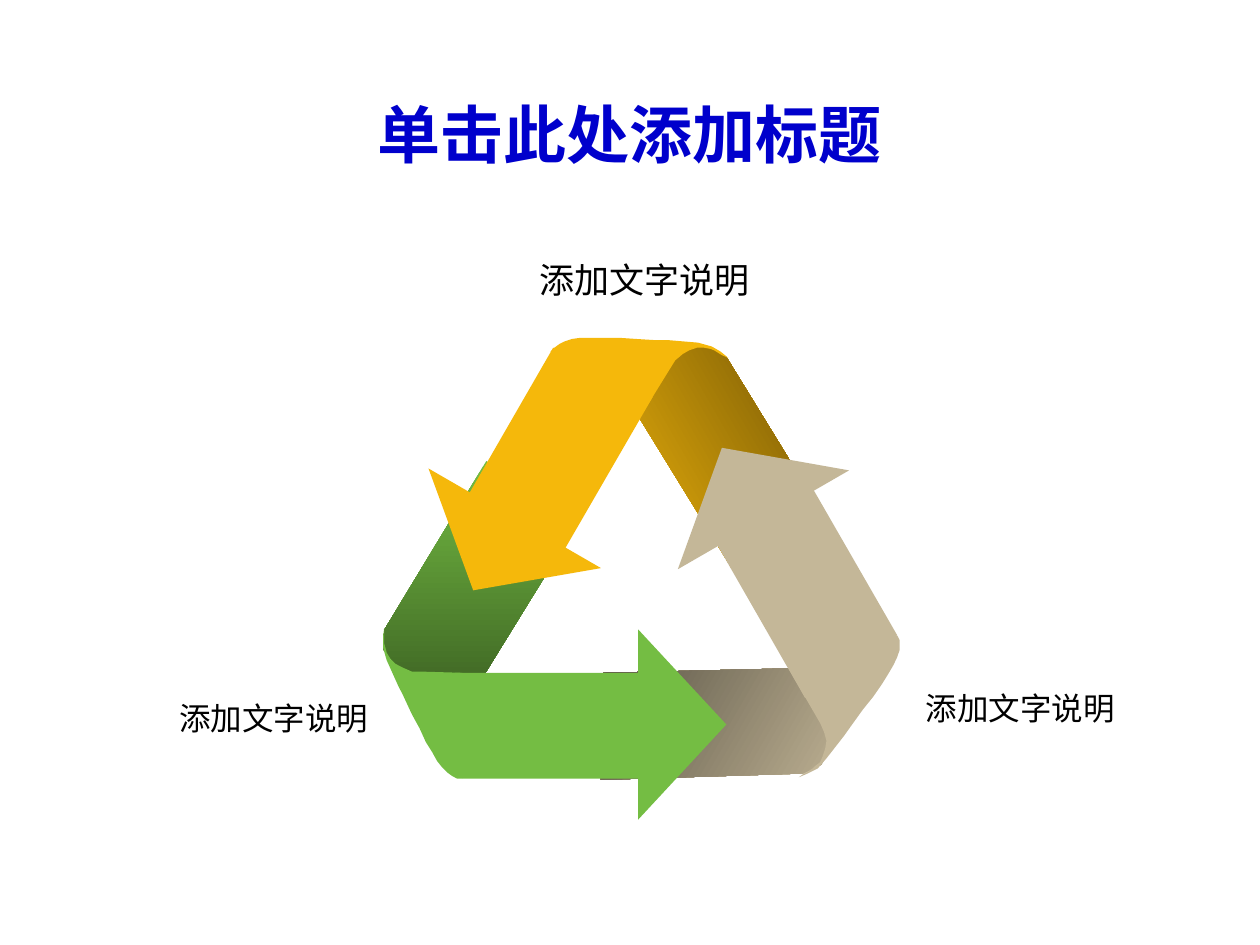
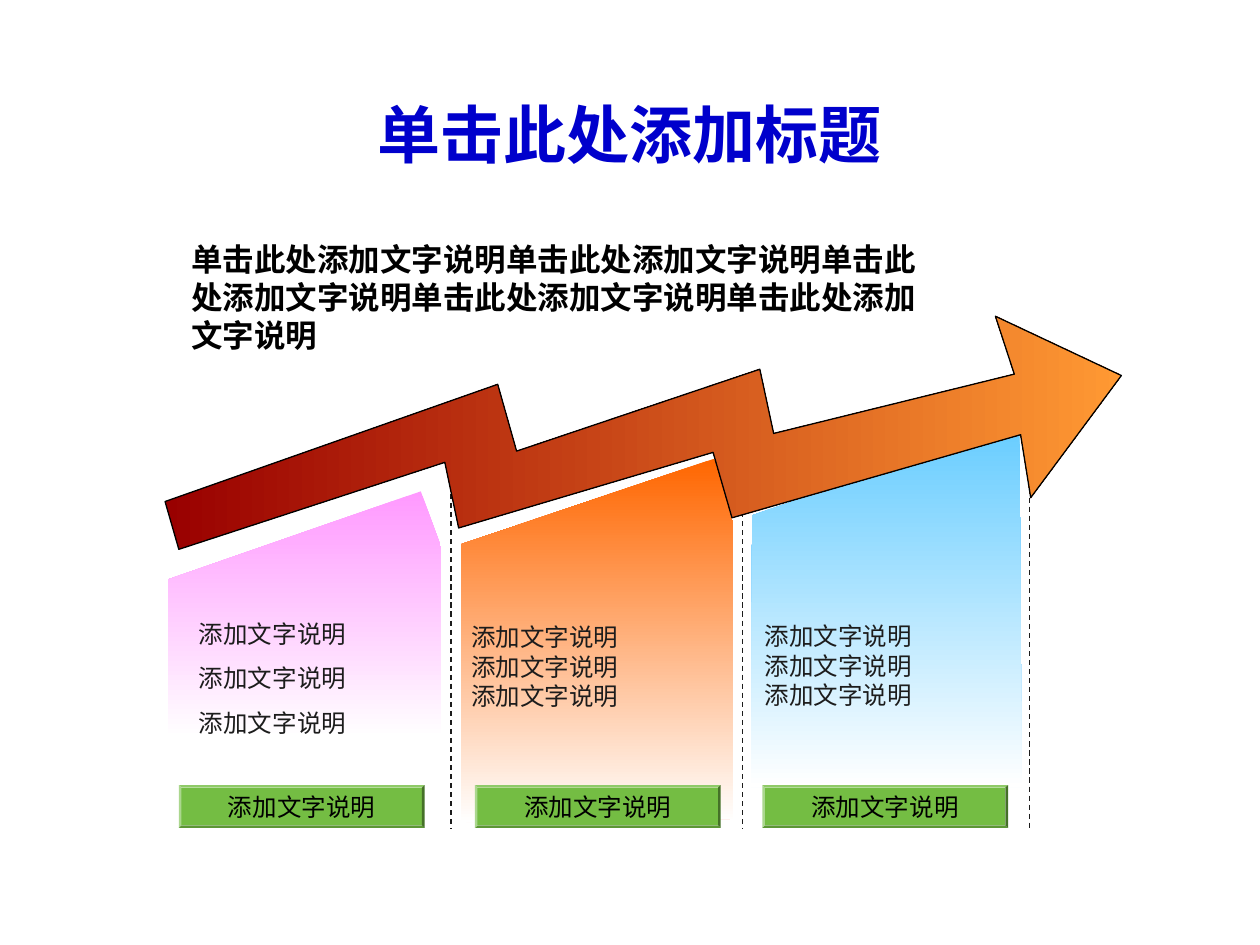
from dataclasses import dataclass

from lxml import etree
from pptx import Presentation
from pptx.dml.color import RGBColor
from pptx.enum import dml, shapes, text
from pptx.oxml.ns import qn
from pptx.util import Pt


@dataclass(frozen=True)
class Theme:
    font: str = "Arial"
    title: str = "0000CC"
    black: str = "000000"
    ink: str = "1C1C1C"
    white: str = "FFFFFF"
    green: str = "74BD43"
    yellow: str = "F5B80B"
    tan: str = "C4B798"
    title_size: int = 36
    top_size: int = 20
    body_size: int = 18
    small_size: int = 14
    hairline: float = 0.75


T = Theme()
LEFT, CENTER, RIGHT = text.PP_ALIGN.LEFT, text.PP_ALIGN.CENTER, text.PP_ALIGN.RIGHT
MIDDLE, TOP = text.MSO_ANCHOR.MIDDLE, text.MSO_ANCHOR.TOP
TITLE = "单击此处添加标题"
CAPTION = "添加文字说明"
INTRO = "单击此处添加文字说明" * 5

# Folded arrows, in points: tail (colours, angle), head (box, turn), band, curl
GREEN_TAIL = [(333.4, 293.8), (257, 417.6), (218.9, 370.8), (219.6, 360), (277.9, 263.5)]
YELLOW_TAIL = [(422.6, 331.9), (344.2, 204.5), (405.4, 198), (415.4, 204.5), (475.9, 303.1)]
TAN_TAIL = [(344.9, 384.5), (494.6, 380.9), (469.4, 437), (458.6, 442.1), (343.4, 445.7)]

YELLOW_BAND = [(313.9, 329), (373, 226.8), (344.9, 211), (316.1, 198.7), (259.2, 297.4)]
TAN_BAND = [(401, 295.9), (460.1, 398.9), (488.2, 382.3), (512.6, 362.9), (455.8, 264.2)]
GREEN_BAND = [(385.2, 384.5), (259.9, 384.5), (259.9, 415.4), (264.2, 445), (385.2, 445)]

YELLOW_CURL = [
    (369.4, 232.6), (314.6, 200.9), (316.8, 198.7), (319.7, 196.6), (322.6, 195.1),
    (326.9, 193.7), (331.9, 193), (353.5, 193), (363.6, 193.7), (375.1, 194.4),
    (382.3, 194.4), (398.9, 195.8), (406.8, 198), (411.8, 200.9), (416.2, 204.5),
    (412.6, 203), (410.4, 201.6), (408.2, 200.2), (406.1, 199.4), (402.5, 198.7),
    (398.2, 198.7), (393.8, 200.2), (390.2, 202.3), (385.9, 205.9), (382.3, 211.7)]
TAN_CURL = [
    (457.9, 394.6), (512.6, 362.9), (514.1, 365.8), (514.1, 371.5), (512.6, 375.8),
    (510.5, 380.2), (507.6, 385.2), (504, 391), (499, 398.2), (493.2, 405.4),
    (486, 415.4), (482.4, 420.5), (472.3, 433.4), (467.3, 439.2), (461.5, 442.1),
    (456.5, 444.2), (459.4, 442.1), (462.2, 440.6), (464.4, 439.2), (465.8, 437.8),
    (468.7, 435.6), (470.2, 432), (471.6, 427.7), (472.3, 423.4), (470.9, 418.3),
    (468.7, 413.3)]
GREEN_CURL = [
    (264.2, 384.5), (264.2, 445), (261.4, 445), (258.5, 443.5), (255.6, 441.4),
    (252.7, 438.5), (249.8, 434.9), (247, 429.8), (243.4, 424.1), (239.8, 416.2),
    (235.4, 408.2), (230.4, 397.4), (227.5, 391.7), (221, 377.3), (218.9, 370.1),
    (218.9, 364.3), (219.6, 358.6), (219.6, 367.9), (220.3, 370.1), (221, 373),
    (223.2, 376.6), (226.1, 379.4), (230.4, 381.6), (235.4, 383.8), (241.2, 383.8)]

# Growth slide outlines, in points
BLUE_PANEL = [(582.5, 241.9), (583.9, 450), (429.1, 450), (429.8, 294.5)]
ORANGE_PANEL = [(408.2, 262.1), (419, 298.1), (419, 468), (263.5, 470.2), (263.5, 311)]
PINK_PANEL = [(240.5, 280.8), (252, 312.5), (252, 421.9), (95.8, 421.9), (95.8, 331.2)]
ZIGZAG = [
    (94.3, 286.6), (284.4, 219.6), (295.2, 257.8), (434.2, 211), (442.1, 247.7),
    (579.6, 213.8), (568.8, 180.7), (640.8, 214.6), (589, 284.4), (583.2, 248.4),
    (418.3, 295.9), (407.5, 258.5), (262.1, 301.7), (254.2, 264.2), (102.2, 313.9)]


def rgb(value):
    return RGBColor.from_string(value)


def paint(sp, fill, angle=0, line=None):
    """Fill with one colour, or a pair as a gradient at a clockwise angle."""
    sp.shadow.inherit = False
    if isinstance(fill, tuple):
        sp.fill.gradient()
        sp.fill.gradient_angle = -angle % 360
        for stop, color in zip(sp.fill.gradient_stops, fill):
            stop.color.rgb = rgb(color)
    else:
        sp.fill.solid()
        sp.fill.fore_color.rgb = rgb(fill)
    if line:
        sp.line.color.rgb = rgb(line)
        sp.line.width = Pt(T.hairline)
    else:
        sp.line.fill.background()


def outline(slide, points, fill, **look):
    (x, y), *rest = [(Pt(px), Pt(py)) for px, py in points]
    fb = slide.shapes.build_freeform(x, y)
    fb.add_line_segments(rest, close=True)
    paint(fb.convert_to_shape(), fill, **look)


def preset(slide, kind, box, fill, turn=0):
    sp = slide.shapes.add_shape(kind, *map(Pt, box))
    sp.rotation = turn
    paint(sp, fill)
    return sp


def write(sp, content, size=T.small_size, color=T.black, bold=False,
          align=LEFT, anchor=TOP, gap=0, wrap=True):
    tf = sp.text_frame
    tf.word_wrap = wrap
    tf.vertical_anchor = anchor
    tf.margin_left = tf.margin_right = Pt(7.2)
    tf.margin_top = tf.margin_bottom = Pt(3.6)
    for i, line in enumerate(content.split("\n")):
        p = tf.paragraphs[0] if i == 0 else tf.add_paragraph()
        p.alignment = align
        if i and gap:
            p.space_before = Pt(gap)
        r = p.add_run()
        r.text = line
        r.font.name, r.font.size, r.font.bold = T.font, Pt(size), bold
        r.font.color.rgb = rgb(color)


def label(slide, box, content, **style):
    write(slide.shapes.add_textbox(*map(Pt, box)), content, **style)


def dashed_line(slide, x, top, bottom):
    cx = slide.shapes.add_connector(
        shapes.MSO_CONNECTOR.STRAIGHT, Pt(x), Pt(top), Pt(x), Pt(bottom))
    cx.line.color.rgb = rgb(T.ink)
    cx.line.width = Pt(T.hairline)
    cx.line.dash_style = dml.MSO_LINE.DASH
    etree.SubElement(cx._element.spPr, qn("a:effectLst"))


def plate(slide, x):
    sp = preset(slide, shapes.MSO_SHAPE.BEVEL, (x, 448.6, 140.4, 24.5), T.green)
    sp.adjustments[0] = 0.06
    write(sp, CAPTION, align=CENTER, anchor=MIDDLE, wrap=False)


def titled_slide(prs):
    slide = prs.slides.add_slide(prs.slide_layouts[6])
    label(slide, (90, 49.7, 540, 52.6), TITLE, size=T.title_size, color=T.title,
          bold=True, align=CENTER, anchor=MIDDLE)
    return slide


def arrow_front(slide, color, head, turn, band, curl):
    preset(slide, shapes.MSO_SHAPE.ISOSCELES_TRIANGLE, head, color, turn)
    outline(slide, band, color)
    outline(slide, curl, color)


def cycle_slide(prs):
    slide = titled_slide(prs)
    # The green tail lies at the back, the green front on top
    outline(slide, GREEN_TAIL, (T.green, "36571F"), angle=90)
    outline(slide, YELLOW_TAIL, (T.yellow, "715505"), angle=330)
    arrow_front(slide, T.yellow, (225.4, 293, 113.8, 47.5), 210, YELLOW_BAND, YELLOW_CURL)
    outline(slide, TAN_TAIL, (T.tan, "5B5546"), angle=210)
    arrow_front(slide, T.tan, (367.9, 252.7, 113, 47.5), 330, TAN_BAND, TAN_CURL)
    arrow_front(slide, T.green, (335.5, 388.8, 108.7, 50.4), 90, GREEN_BAND, GREEN_CURL)
    # Captions at the corners
    label(slide, (41.8, 396, 175.7, 28.8), CAPTION, size=T.body_size, align=RIGHT)
    label(slide, (522, 390.2, 175.7, 28.8), CAPTION, size=T.body_size)
    label(slide, (239.8, 144, 257, 31.7), CAPTION, size=T.top_size, align=CENTER)


def growth_slide(prs):
    slide = titled_slide(prs)
    # Panels fading to white
    for panel, color in ((BLUE_PANEL, "66CCFF"), (ORANGE_PANEL, "FF6600"),
                         (PINK_PANEL, "FF99FF")):
        outline(slide, panel, (color, T.white), angle=90)
    # Dividers and rising arrow
    for x, top in ((257.8, 277.2), (424.1, 277.2), (588.2, 253.4)):
        dashed_line(slide, x, top, 473.8)
    outline(slide, ZIGZAG, ("990000", "FF9933"), line=T.black)
    # Texts and plates
    label(slide, (102.2, 133.9, 437.8, 72), INTRO, size=T.body_size, bold=True)
    captions = "\n".join([CAPTION] * 3)
    for plate_x, x, y, height, gap in ((102.2, 106.6, 349.9, 75.6, 8.8),
                                       (271.4, 262.1, 352.1, 57.6, 0),
                                       (435.6, 429.8, 351.4, 57.6, 0)):
        plate(slide, plate_x)
        label(slide, (x, y, 148.3, height), captions, color=T.ink, gap=gap)


def main():
    prs = Presentation()
    prs.slide_width, prs.slide_height = Pt(720), Pt(540)
    cycle_slide(prs)
    growth_slide(prs)
    prs.save("out.pptx")


if __name__ == "__main__":
    main()
